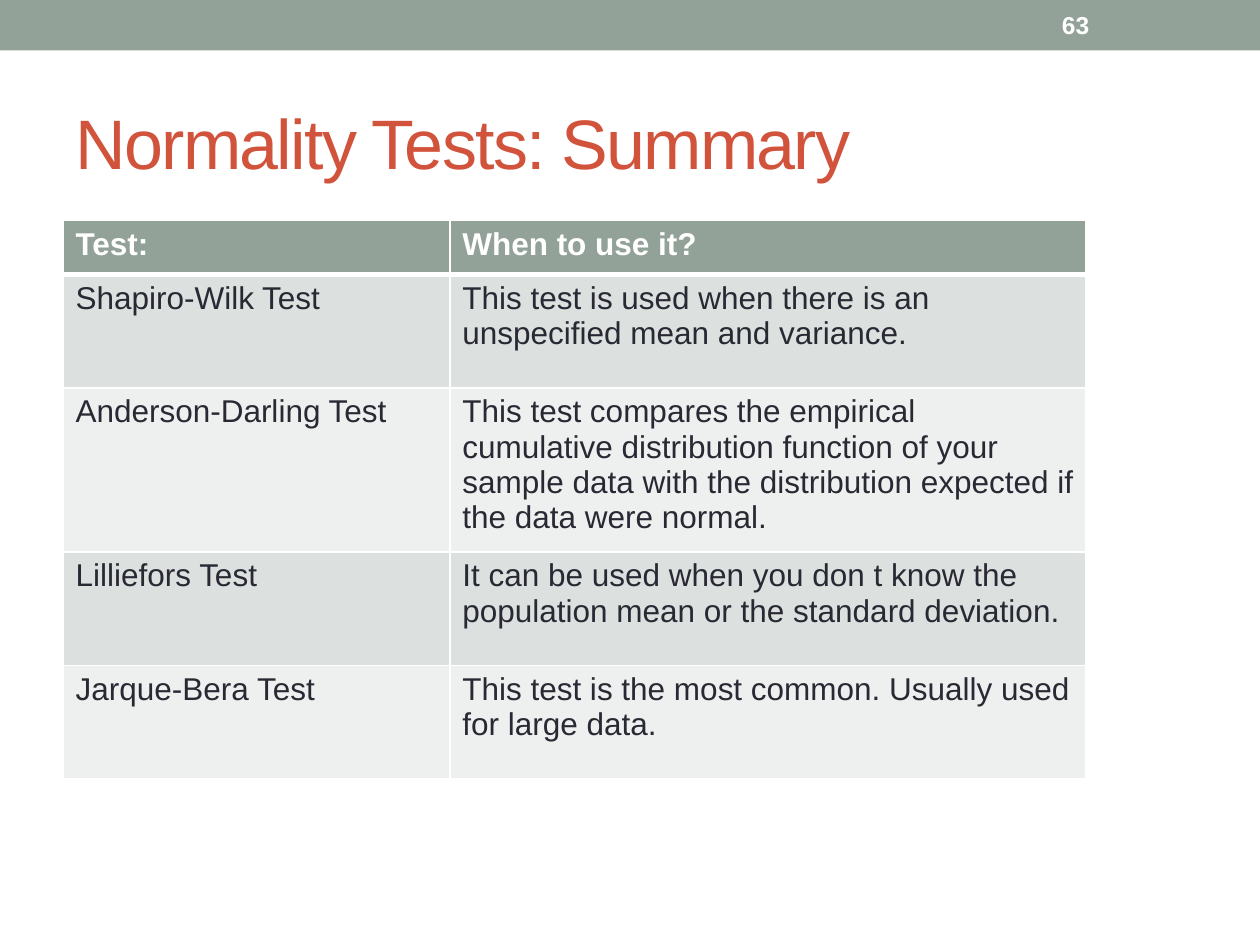
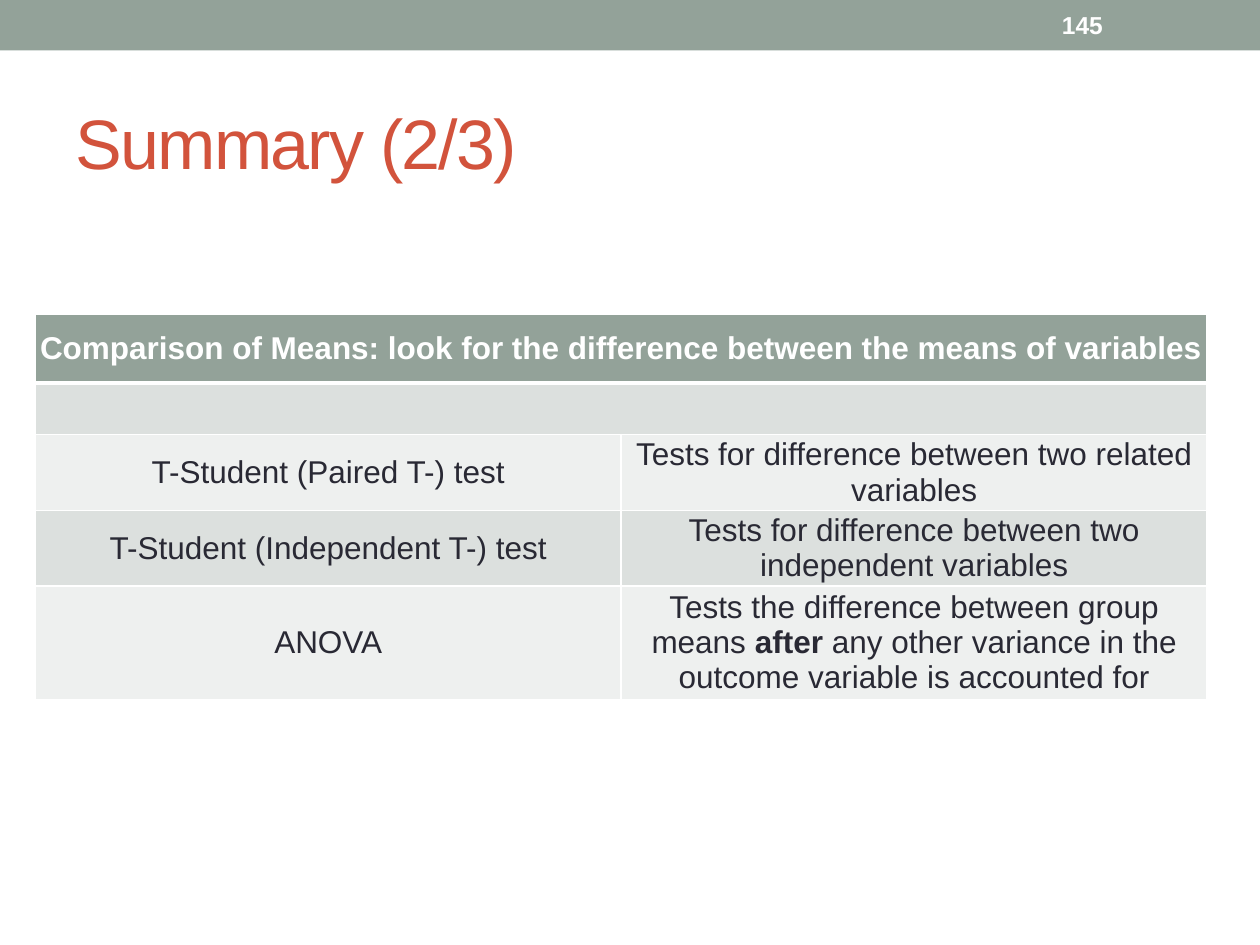
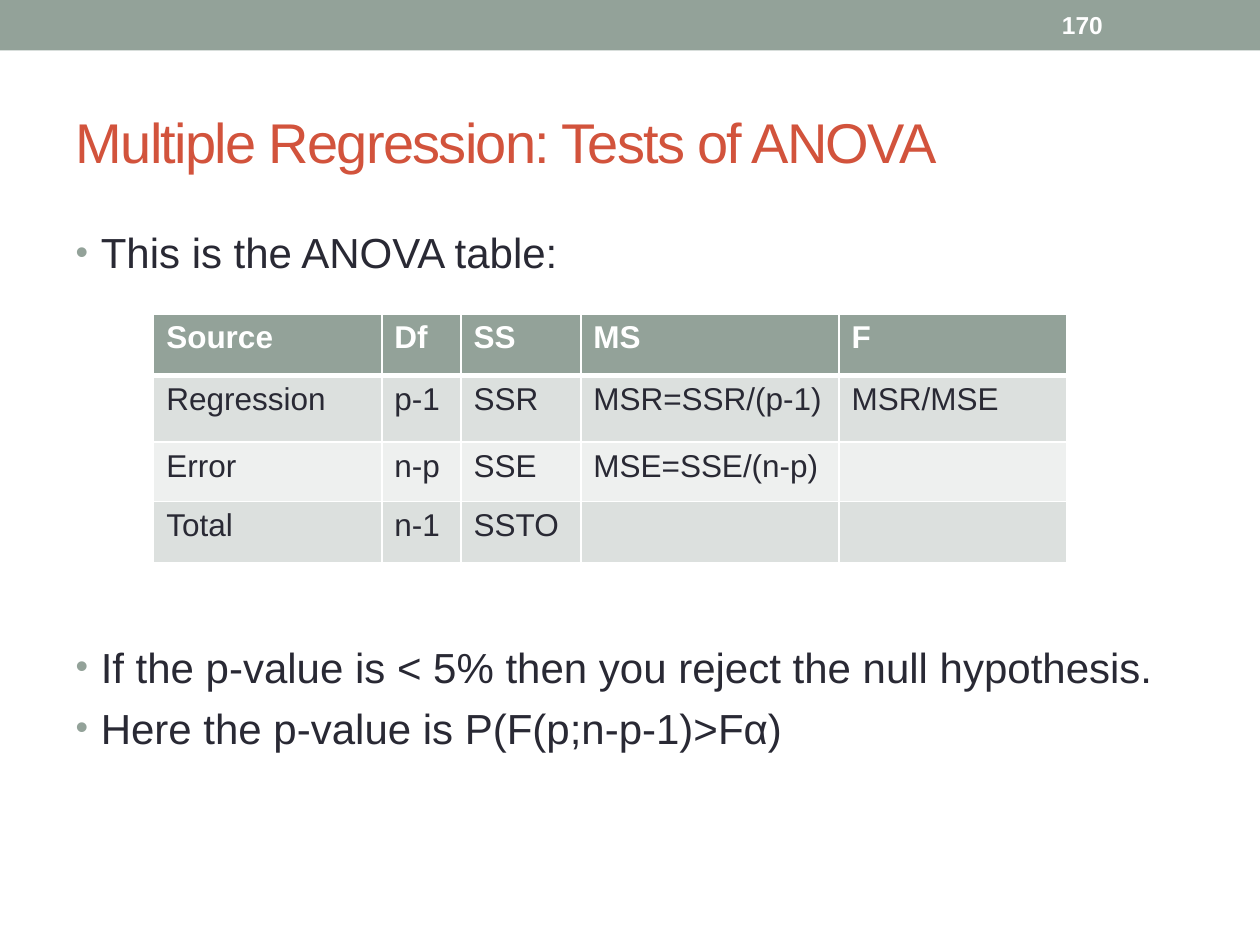
from lxml.etree import SubElement
from pptx import Presentation
from pptx.dml.color import RGBColor
from pptx.enum.shapes import MSO_SHAPE
from pptx.enum.text import MSO_ANCHOR, MSO_AUTO_SIZE, PP_ALIGN
from pptx.oxml.ns import qn
from pptx.util import Inches, Pt

COLORS = {
    "sage": "93A299",
    "rust": "D2533C",
    "ink": "292934",
    "white": "FFFFFF",
    "row_dark": "DCE0DE",
    "row_light": "EEF0EF",
}
FONT = "Arial"
TITLE_ONLY, TITLE_AND_BODY = 5, 1


class Deck:
    """Holds the shared style and the current slide."""

    def __init__(self):
        """Start an empty 10 by 7.5 inch presentation."""
        self.presentation = Presentation()
        self.presentation.slide_width = Inches(10)
        self.presentation.slide_height = Inches(7.5)
        self.slide = None

    def color(self, name):
        """Return a named colour."""
        return RGBColor.from_string(COLORS[name])

    def style(self, paragraph, size, color, bold=False):
        """Format the text of a whole paragraph."""
        font = paragraph.font
        font.name, font.size, font.bold = FONT, Pt(size), bold
        font.color.rgb = self.color(color)

    def place(self, shape, left, top, width, height):
        """Move and size a shape, in inches."""
        shape.left, shape.top = Inches(left), Inches(top)
        shape.width, shape.height = Inches(width), Inches(height)

    def add_slide(self, title, number, layout=TITLE_ONLY, title_size=40, title_width=9):
        """Add a slide with its band, title and number."""
        self.slide = self.presentation.slides.add_slide(
            self.presentation.slide_layouts[layout])
        self.band()
        self.title(title, title_size, title_width)
        self.number(number)

    def band(self):
        """Draw the band along the top edge."""
        band = self.slide.shapes.add_shape(
            MSO_SHAPE.RECTANGLE, 0, 0, Inches(10), Inches(0.4))
        band.shadow.inherit = False
        band.fill.solid()
        band.fill.fore_color.rgb = self.color("sage")
        band.line.fill.background()

    def title(self, text, size, width):
        """Fill the title placeholder."""
        shape = self.slide.shapes.title
        self.place(shape, 0.5, 0.58, width, 1.08)
        frame = shape.text_frame
        frame.text = text
        frame.auto_size = MSO_AUTO_SIZE.NONE
        frame.vertical_anchor = MSO_ANCHOR.MIDDLE
        paragraph = frame.paragraphs[0]
        paragraph.alignment = PP_ALIGN.LEFT
        self.style(paragraph, size, "rust")
        paragraph.runs[0]._r.get_or_add_rPr().set("spc", "-100")

    def number(self, value):
        """Write the slide number in the band."""
        box = self.slide.shapes.add_textbox(
            Inches(8.33), Inches(0.02), Inches(1.17), Inches(0.36))
        frame = box.text_frame
        frame.word_wrap = True
        frame.vertical_anchor = MSO_ANCHOR.MIDDLE
        frame.text = str(value)
        self.style(frame.paragraphs[0], 14, "white", bold=True)

    def bullets(self, items):
        """Fill the body placeholder with (text, space before) items."""
        body = self.slide.placeholders[1]
        self.place(body, 0.5, 1.75, 9, 5.33)
        frame = body.text_frame
        frame.text = "\n".join(text for text, _ in items)
        frame.auto_size = MSO_AUTO_SIZE.NONE
        for paragraph, (_, space) in zip(frame.paragraphs, items):
            self.style(paragraph, 24, "ink")
            paragraph.space_before = Pt(space)
            self.bullet(paragraph)

    def bullet(self, paragraph):
        """Give a paragraph a small sage bullet and a hanging indent."""
        properties = paragraph._p.get_or_add_pPr()
        properties.set("marL", str(Inches(0.2)))
        properties.set("indent", str(-Inches(0.2)))
        marks = []
        color = SubElement(properties, qn("a:buClr"))
        SubElement(color, qn("a:srgbClr"), val=COLORS["sage"])
        marks.append(color)
        marks.append(SubElement(properties, qn("a:buSzPct"), val="85000"))
        marks.append(SubElement(properties, qn("a:buFont"), typeface=FONT))
        marks.append(SubElement(properties, qn("a:buChar"), char="•"))
        defaults = properties.find(qn("a:defRPr"))
        for mark in marks:
            defaults.addprevious(mark)

    def table(self, left, top, widths, heights, rows, centered=False, merged=()):
        """Add a banded table; the rows listed in merged span all columns."""
        table = self.slide.shapes.add_table(
            len(rows), len(widths), Inches(left), Inches(top),
            Inches(sum(widths)), Inches(sum(heights))).table
        for column, width in zip(table.columns, widths):
            column.width = Inches(width)
        for row, height in zip(table.rows, heights):
            row.height = Inches(height)
        for index, texts in enumerate(rows):
            for column, text in enumerate(texts):
                self.cell(table.cell(index, column), index, text, centered)
        for index in merged:
            table.cell(index, 0).merge(table.cell(index, len(widths) - 1))

    def cell(self, cell, row, text, centered):
        """Fill one cell; in a tuple of texts every second one is bold."""
        header = row == 0
        self.borders(cell, top=3 if row == 1 else 1, bottom=3 if header else 1)
        cell.fill.solid()
        fill = "sage" if header else "row_dark" if row % 2 else "row_light"
        cell.fill.fore_color.rgb = self.color(fill)
        paragraph = cell.text_frame.paragraphs[0]
        self.style(paragraph, 18, "white" if header else "ink", header)
        parts = text if isinstance(text, tuple) else (text,)
        for index, part in enumerate(parts):
            if part:
                run = paragraph.add_run()
                run.text = part
                if index % 2:
                    run.font.bold = True
        if centered and text:
            paragraph.alignment = PP_ALIGN.CENTER
            cell.vertical_anchor = MSO_ANCHOR.MIDDLE
            cell.margin_left = cell.margin_right = 0
            cell.margin_top = cell.margin_bottom = 0

    def borders(self, cell, top, bottom):
        """Draw white borders around a cell, with widths in points."""
        properties = cell._tc.get_or_add_tcPr()
        for side, width in (("L", 1), ("R", 1), ("T", top), ("B", bottom)):
            line = SubElement(properties, qn(f"a:ln{side}"), w=str(Pt(width)))
            fill = SubElement(line, qn("a:solidFill"))
            SubElement(fill, qn("a:srgbClr"), val=COLORS["white"])


def main():
    """Build the three slides."""
    deck = Deck()

    deck.add_slide("Normality Tests: Summary", 63)
    deck.table(0.5, 1.75, [3.07, 5.05], [0.43] + [0.9] * 4, [
        ("Test:", "When to use it?"),
        ("Shapiro-Wilk Test",
         "This test is used when there is an unspecified mean and variance."),
        ("Anderson-Darling Test",
         "This test compares the empirical cumulative distribution function of your "
         "sample data with the distribution expected if the data were normal."),
        ("Lilliefors Test",
         "It can be used when you don t know the population mean or the standard "
         "deviation."),
        ("Jarque-Bera Test",
         "This test is the most common. Usually used for large data."),
    ])

    deck.add_slide("Summary (2/3)", 145)
    deck.table(0.28, 2.49, [4.65] * 2, [0.55] + [0.41] * 4, [
        ("Comparison of Means: look for the difference between the means of variables",
         ""),
        ("", ""),
        ("T-Student (Paired T-) test",
         "Tests for difference between two related variables"),
        ("T-Student (Independent T-) test",
         "Tests for difference between two independent variables"),
        ("ANOVA",
         ("Tests the difference between group means ", "after",
          " any other variance in the outcome variable is accounted for")),
    ], centered=True, merged=(0, 1))

    deck.add_slide("Multiple Regression: Tests of ANOVA", 170,
                   TITLE_AND_BODY, title_size=32, title_width=9.38)
    deck.bullets([
        ("This is the ANOVA table:", 2),
        ("If the p-value is < 5% then you reject the null hypothesis.", 208),
        ("Here the p-value is P(F(p;n-p-1)>Fα)", 6),
    ])
    deck.table(1.22, 2.49, [1.81, 0.63, 0.95, 2.05, 1.81], [0.49, 0.53, 0.47, 0.49], [
        ("Source", "Df", "SS", "MS", "F"),
        ("Regression", "p-1", "SSR", "MSR=SSR/(p-1)", "MSR/MSE"),
        ("Error", "n-p", "SSE", "MSE=SSE/(n-p)", ""),
        ("Total", "n-1", "SSTO", "", ""),
    ])

    deck.presentation.save("out.pptx")


if __name__ == "__main__":
    main()
